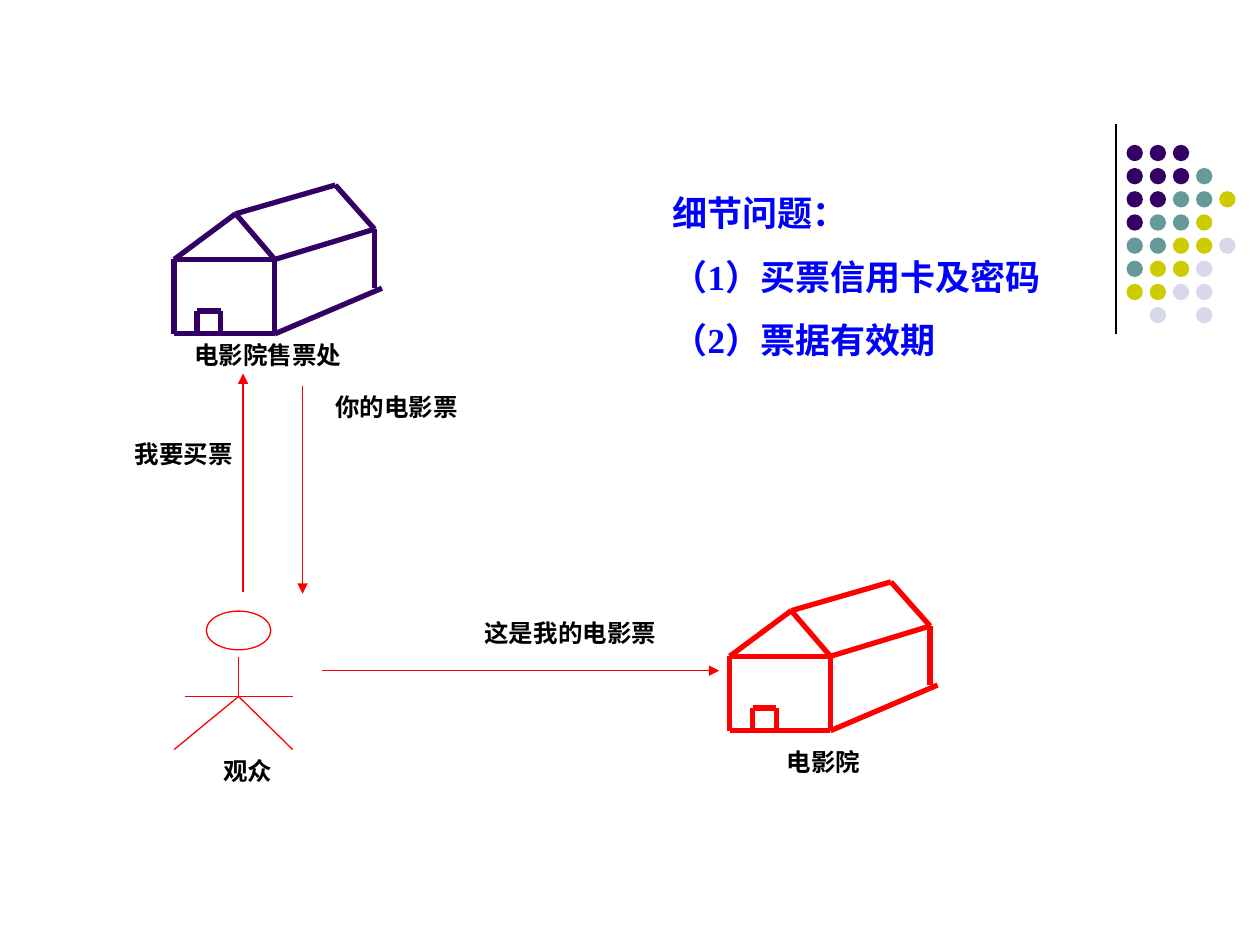
import lxml.etree
import pptx
import pptx.dml.color
import pptx.enum.shapes
import pptx.enum.text
import pptx.oxml.ns
import pptx.util

Cm, Pt = pptx.util.Cm, pptx.util.Pt
qn = pptx.oxml.ns.qn

COLORS = {
    "purple": "330066", "teal": "669999", "olive": "CCCC00", "lilac": "D8D8EC",
    "red": "FF0000", "blue": "0000FF", "black": "000000",
}
DOTS = ["PPP", "PPPT", "PPTTO", "PTTO", "TTOOL", "TOOL", "OOLL", " L L"]
DOT_COLORS = {"P": "purple", "T": "teal", "O": "olive", "L": "lilac"}
DOT, PITCH = 0.33, 0.467

APEX, RIDGE = (1.24, 0.58), (3.25, 0)
EAVE_L, EAVE_M, EAVE_R = (0, 1.5), (2.03, 1.5), (4.04, 0.89)
BASE_L, BASE_M, BASE_R, POST = (0, 3), (2.03, 3), (4.19, 2.08), (4.04, 2.08)
DOOR = [(0.46, 3), (0.46, 2.54), (0.94, 2.54), (0.94, 3)]
HOUSE = [
    (APEX, EAVE_L), (APEX, EAVE_M), (EAVE_L, EAVE_M), (APEX, RIDGE),
    (RIDGE, EAVE_R), (EAVE_M, EAVE_R), (EAVE_L, BASE_L), (EAVE_M, BASE_M),
    (BASE_L, BASE_M), (BASE_M, BASE_R), (EAVE_R, POST), *zip(DOOR, DOOR[1:]),
]


class Painter:
    """Draws the elements of the current slide in one style, in centimetres."""

    font = "Times New Roman"

    def __init__(self, slide):
        self.s = slide

    def color(self, name):
        return pptx.dml.color.RGBColor.from_string(COLORS[name])

    def group(self):
        return self.s.shapes.add_group_shape().shapes

    def line(self, start, end, color="red", width=0.75, arrow=False, shapes=None):
        c = (shapes or self.s.shapes).add_connector(
            pptx.enum.shapes.MSO_CONNECTOR.STRAIGHT, *map(Cm, (*start, *end)))
        c.line.color.rgb = self.color(color)
        c.line.width = Pt(width)
        sp_pr = c._element.spPr
        if arrow:
            lxml.etree.SubElement(sp_pr.find(qn("a:ln")), qn("a:tailEnd"), type="triangle")
        lxml.etree.SubElement(sp_pr, qn("a:effectLst"))

    def ellipse(self, x, y, w, h, shapes, fill=None, line=None):
        sp = shapes.add_shape(pptx.enum.shapes.MSO_SHAPE.OVAL, *map(Cm, (x, y, w, h)))
        sp.shadow.inherit = False
        for part, name in ((sp.fill, fill), (sp.line.fill, line)):
            if name:
                part.solid()
                part.fore_color.rgb = self.color(name)
            else:
                part.background()
        if line:
            sp.line.width = Pt(0.75)

    def dots(self, x, y):
        shapes = self.group()
        for row, marks in enumerate(DOTS):
            for col, mark in enumerate(marks):
                if mark in DOT_COLORS:
                    self.ellipse(x + col * PITCH, y + row * PITCH, DOT, DOT, shapes,
                                 fill=DOT_COLORS[mark])

    def house(self, x, y, color):
        shapes = self.group()
        for (x1, y1), (x2, y2) in HOUSE:
            self.line((x + x1, y + y1), (x + x2, y + y2), color, 3, shapes=shapes)

    def person(self, x, y):
        shapes = self.group()
        hip = (x, y + 1.72)
        self.ellipse(x - 0.65, y, 1.3, 0.78, shapes, line="red")
        self.line((x, y + 0.93), hip, shapes=shapes)
        self.line(hip, (x - 1.3, y + 2.79), shapes=shapes)
        self.line(hip, (x + 1.09, y + 2.79), shapes=shapes)
        self.line((x - 1.09, hip[1]), (x + 1.09, hip[1]), shapes=shapes)

    def text(self, x, y, w, h, lines, size=14, color="black", align="CENTER", gap=0):
        tf = self.s.shapes.add_textbox(*map(Cm, (x, y, w, h))).text_frame
        tf.word_wrap = True
        tf.auto_size = pptx.enum.text.MSO_AUTO_SIZE.SHAPE_TO_FIT_TEXT
        for i, words in enumerate(lines):
            p = tf.add_paragraph() if i else tf.paragraphs[0]
            p.alignment = pptx.enum.text.PP_ALIGN[align]
            if i:
                p.space_before = Pt(gap)
            r = p.add_run()
            r.text = words
            r.font.name, r.font.size, r.font.bold = self.font, Pt(size), True
            r.font.color.rgb = self.color(color)


def main():
    prs = pptx.Presentation()
    prs.slide_width, prs.slide_height = Cm(25.4), Cm(19.05)
    s = Painter(prs.slides.add_slide(prs.slide_layouts[6]))

    s.line((22.5, 2.5), (22.5, 6.73), "black")
    s.dots(22.71, 2.92)
    s.house(14.71, 11.73, "red")
    s.house(3.51, 3.73, "purple")
    s.person(4.81, 12.32)

    for start, end in (((4.9, 11.94), (4.9, 7.53)),
                       ((6.1, 7.78), (6.1, 11.97)),
                       ((6.5, 13.52), (14.5, 13.52))):
        s.line(start, end, arrow=True)

    for x, y, w, words in ((14.1, 14.94, 5, "电影院"),
                           (2.11, 8.72, 3.2, "我要买票"),
                           (6.1, 7.78, 3.8, "你的电影票"),
                           (9.1, 12.33, 4.8, "这是我的电影票"),
                           (2.9, 6.73, 5, "电影院售票处"),
                           (2.5, 15.12, 5, "观众")):
        s.text(x, y, w, 0.86, [words])

    s.text(13.31, 3.73, 8.61, 3.68,
           ["细节问题：", "（1）买票信用卡及密码", "（2）票据有效期"],
           size=20, color="blue", align="LEFT", gap=12.5)
    prs.save("out.pptx")


if __name__ == "__main__":
    main()
